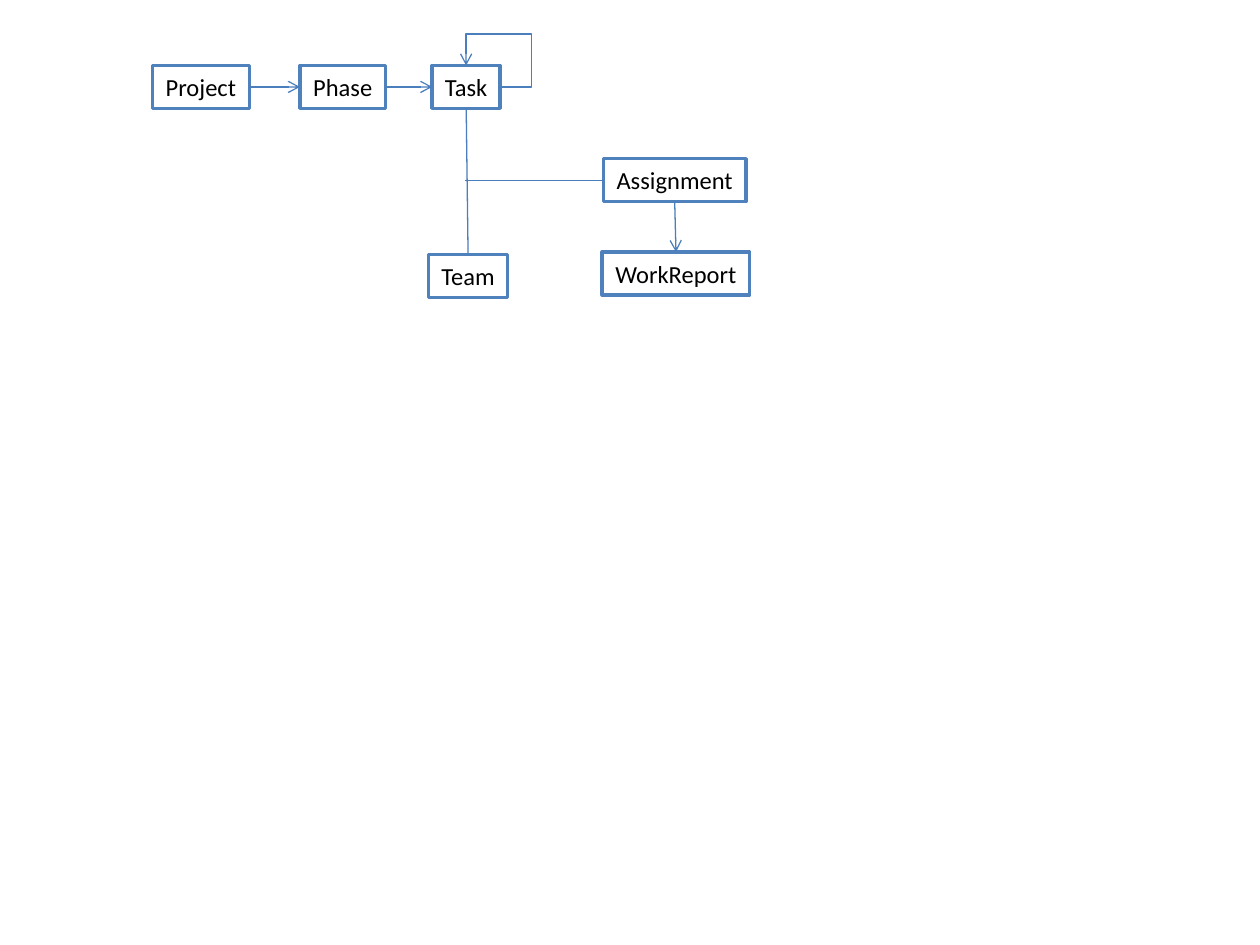
from lxml import etree
from pptx import Presentation, util as u
from pptx.dml.color import RGBColor
from pptx.enum import shapes, text
from pptx.oxml.ns import qn

BOX_FILL = RGBColor(0xFF, 0xFF, 0xFF)
BOX_LINE = RGBColor(0x4F, 0x81, 0xBD)
LINK_LINE = RGBColor(0x4B, 0x7E, 0xBC)
INK = RGBColor(0, 0, 0)
TOP, LEFT, BOTTOM, RIGHT = range(4)

prs = Presentation()
prs.slide_width, prs.slide_height = u.Inches(10), u.Inches(7.5)
slide = prs.slides.add_slide(prs.slide_layouts[6])

# Three rows of boxes at an equal pitch
FIRST_ROW, ROW_PITCH, BOX_HEIGHT = 0.52, 0.74, 0.34
entities = [  # name, left, width, row, drop below the row
    ("Project", 1.21, 0.77, 0, 0),
    ("Phase", 2.38, 0.68, 0, 0),
    ("Task", 3.43, 0.54, 0, 0),
    ("Team", 3.4, 0.63, 2, 0.02),
    ("Assignment", 4.79, 1.13, 1, 0),
    ("WorkReport", 4.78, 1.17, 2, 0),
]


def style_link(link, arrow):
    link.line.color.rgb = LINK_LINE
    link.line.width = u.Pt(0.75)
    if arrow:
        etree.SubElement(link.line._get_or_add_ln(), qn("a:tailEnd"), type="arrow")
    etree.SubElement(link._element.spPr, qn("a:effectLst"))


# Entity boxes
boxes = {}
for name, left, width, row, drop in entities:
    top = FIRST_ROW + row * ROW_PITCH + drop
    box = slide.shapes.add_shape(
        shapes.MSO_SHAPE.RECTANGLE, *map(u.Inches, (left, top, width, BOX_HEIGHT)))
    box.shadow.inherit = False
    box.fill.solid()
    box.fill.fore_color.rgb = BOX_FILL
    box.line.color.rgb = BOX_LINE
    box.line.width = u.Pt(2)
    frame = box.text_frame
    frame.word_wrap = False
    frame.auto_size = text.MSO_AUTO_SIZE.SHAPE_TO_FIT_TEXT
    frame.vertical_anchor = text.MSO_ANCHOR.MIDDLE
    label = frame.paragraphs[0]
    label.alignment = text.PP_ALIGN.CENTER
    run = label.add_run()
    run.text = name
    run.font.name, run.font.size = "Calibri", u.Pt(14)
    run.font.color.rgb = INK
    boxes[name] = box

# Straight links between boxes
for source, source_side, target, target_side, arrow in [
    ("Project", RIGHT, "Phase", LEFT, True),
    ("Phase", RIGHT, "Task", LEFT, True),
    ("Task", BOTTOM, "Team", TOP, False),
    ("Assignment", BOTTOM, "WorkReport", TOP, True),
]:
    link = slide.shapes.add_connector(shapes.MSO_CONNECTOR.STRAIGHT, 0, 0, 0, 0)
    link.begin_connect(boxes[source], source_side)
    link.end_connect(boxes[target], target_side)
    style_link(link, arrow)

# Assignment joins the line between Task and Team
assignment = boxes["Assignment"]
middle = assignment.top + assignment.height // 2
branch = slide.shapes.add_connector(
    shapes.MSO_CONNECTOR.STRAIGHT, assignment.left, middle, u.Inches(3.69), middle)
branch.begin_connect(assignment, LEFT)
style_link(branch, False)

# Task loops back to itself, a quarter inch outside the box
task = boxes["Task"]
loop = slide.shapes.add_connector(shapes.MSO_CONNECTOR.ELBOW, 0, 0, 0, 0)
loop.begin_connect(task, RIGHT)
loop.end_connect(task, TOP)
reach = u.Inches(0.25)
geometry = loop._element.spPr.find(qn("a:prstGeom"))
geometry.set("prst", "bentConnector4")
guides = geometry.find(qn("a:avLst"))
for guide, share in [("adj1", -reach / loop.width), ("adj2", 1 + reach / loop.height)]:
    etree.SubElement(guides, qn("a:gd"), name=guide, fmla=f"val {round(share * 100000)}")
style_link(loop, True)

prs.save("out.pptx")
